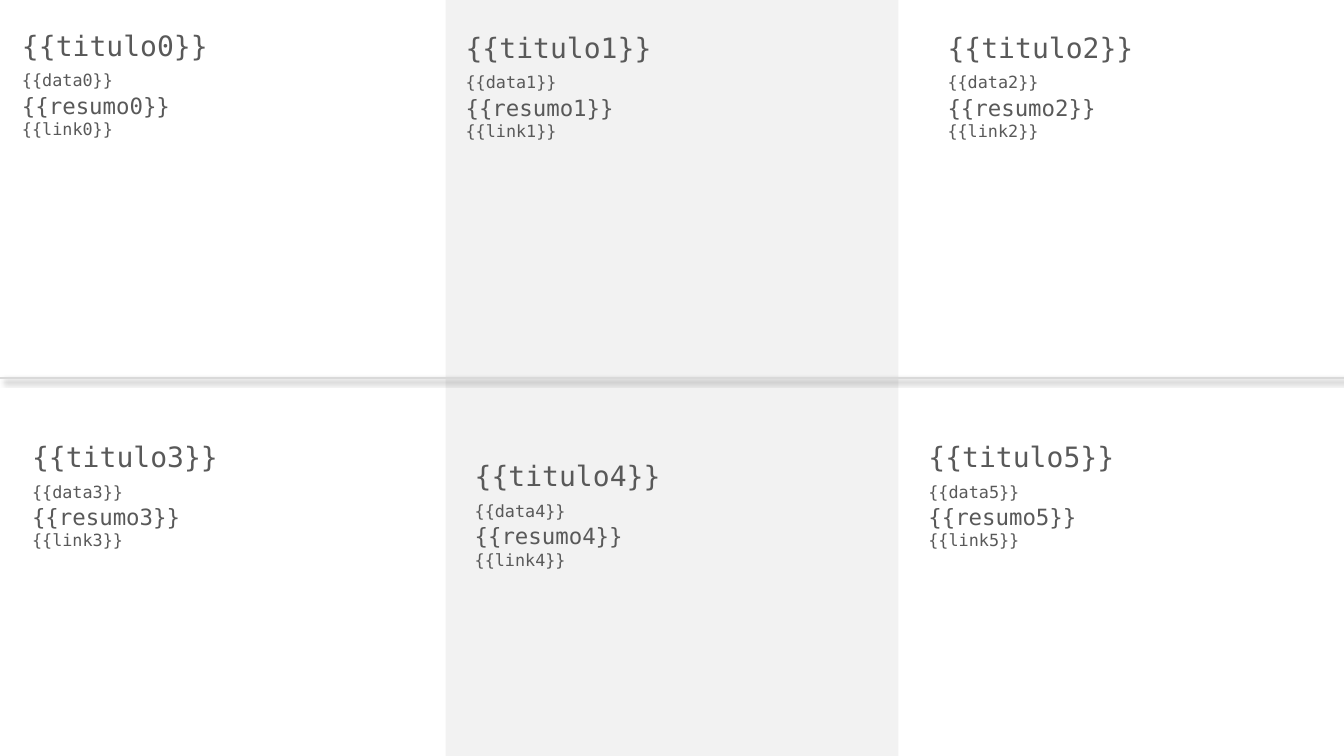
from copy import deepcopy

from lxml import etree
from pptx import Presentation
from pptx.dml.color import RGBColor
from pptx.enum import shapes, text
from pptx.oxml import ns
from pptx.util import Inches, Pt

FONT = "DejaVu Sans Mono"
TEXT_GREY = RGBColor(0x59, 0x59, 0x59)
BAND_GREY = RGBColor(0xF2, 0xF2, 0xF2)
RULE_GREY = RGBColor(0xD9, 0xD9, 0xD9)

# Left and top of each news card, numbered in reading order
CARDS = [
    (0.12, 0.23), (4.52, 0.25), (9.3, 0.25),
    (0.22, 4.31), (4.61, 4.5), (9.11, 4.31),
]


def add_band(slide, left, top, width, height):
    sp = slide.shapes.add_shape(
        shapes.MSO_SHAPE.RECTANGLE,
        Inches(left), Inches(top), Inches(width), Inches(height))
    sp.shadow.inherit = False
    sp.fill.solid()
    sp.fill.fore_color.rgb = BAND_GREY
    sp.line.fill.background()


def add_divider(slide, y, width):
    """Draw a full-width rule with a soft shadow to the lower right."""
    line = slide.shapes.add_connector(
        shapes.MSO_CONNECTOR.STRAIGHT, 0, Inches(y), Inches(width), Inches(y))
    line.line.color.rgb = RULE_GREY
    line.line.width = Pt(1)
    effects = etree.SubElement(line._element.spPr, ns.qn("a:effectLst"))
    shadow = etree.SubElement(
        effects, ns.qn("a:outerShdw"), blurRad=str(Pt(4)), dist=str(Pt(3)),
        dir=str(45 * 60000), algn="tl", rotWithShape="0")
    color = etree.SubElement(shadow, ns.qn("a:srgbClr"), val="000000")
    etree.SubElement(color, ns.qn("a:alpha"), val="40000")


def add_run(p, content, size, line_break=False):
    """Add a run, and after it a line break of the same format if asked."""
    r = p.add_run()
    r.text = content
    r.font.name = FONT
    r.font.size = Pt(size)
    r.font.color.rgb = TEXT_GREY
    if line_break:
        p.add_line_break()
        p._p[-1].append(deepcopy(r._r.rPr))


def add_card(slide, number, left, top):
    box = slide.shapes.add_textbox(
        Inches(left), Inches(top), Inches(4.3), Inches(1.25))
    tf = box.text_frame
    tf.word_wrap = True
    tf.auto_size = text.MSO_AUTO_SIZE.SHAPE_TO_FIT_TEXT
    add_run(tf.paragraphs[0], f"{{{{titulo{number}}}}}", 20)
    p = tf.add_paragraph()
    add_run(p, f"{{{{data{number}}}}}", 12)
    add_run(p, " ", 18, line_break=True)
    add_run(p, f"{{{{resumo{number}}}}}", 16, line_break=True)
    add_run(p, f"{{{{link{number}}}}}", 12)


def main():
    prs = Presentation()
    prs.slide_width = Inches(13.33)
    prs.slide_height = Inches(7.5)
    slide = prs.slides.add_slide(prs.slide_layouts[6])
    add_band(slide, 4.42, 0, 4.49, 9.62)
    add_divider(slide, 3.75, 13.33)
    for number, (left, top) in enumerate(CARDS):
        add_card(slide, number, left, top)
    prs.save("out.pptx")


if __name__ == "__main__":
    main()
